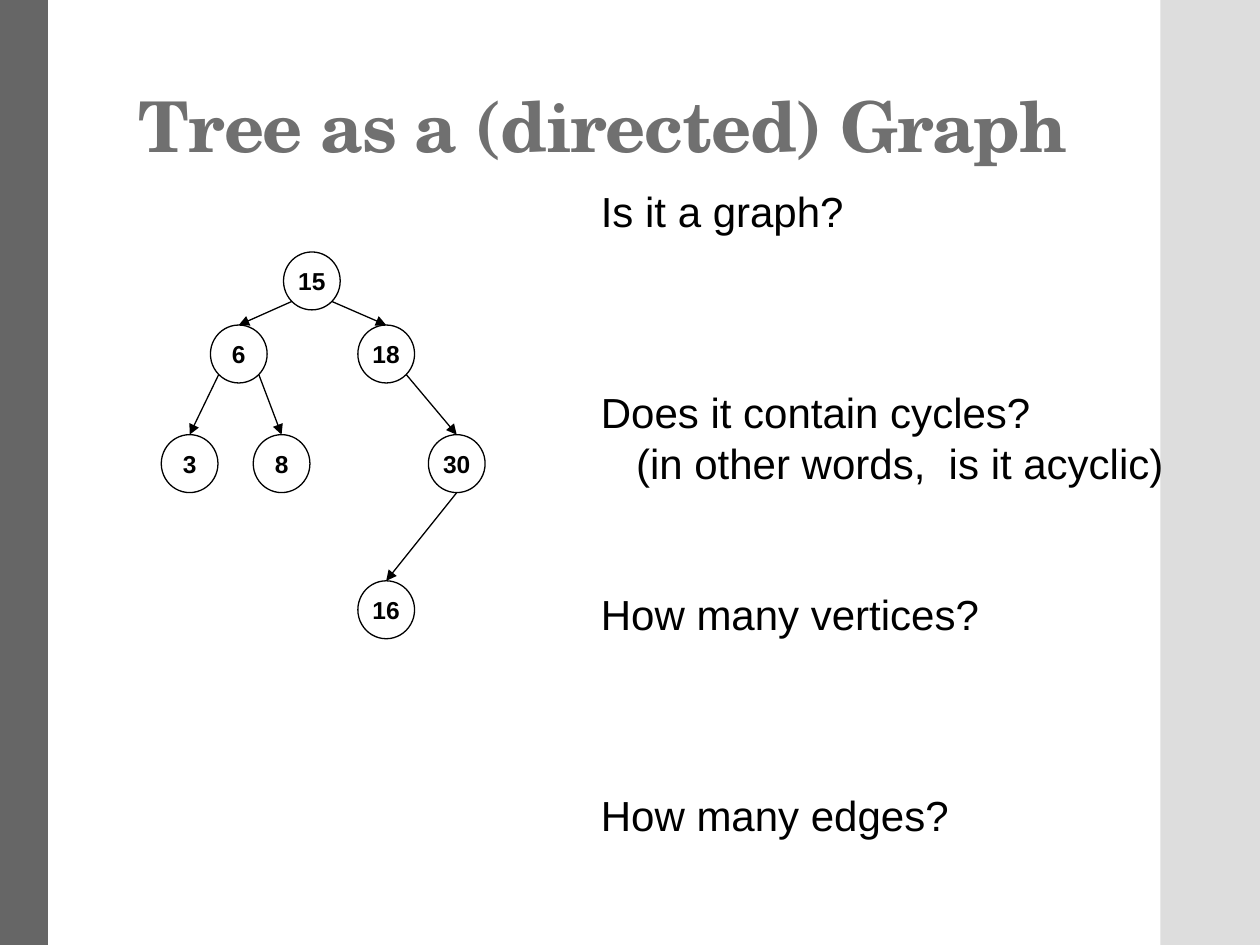
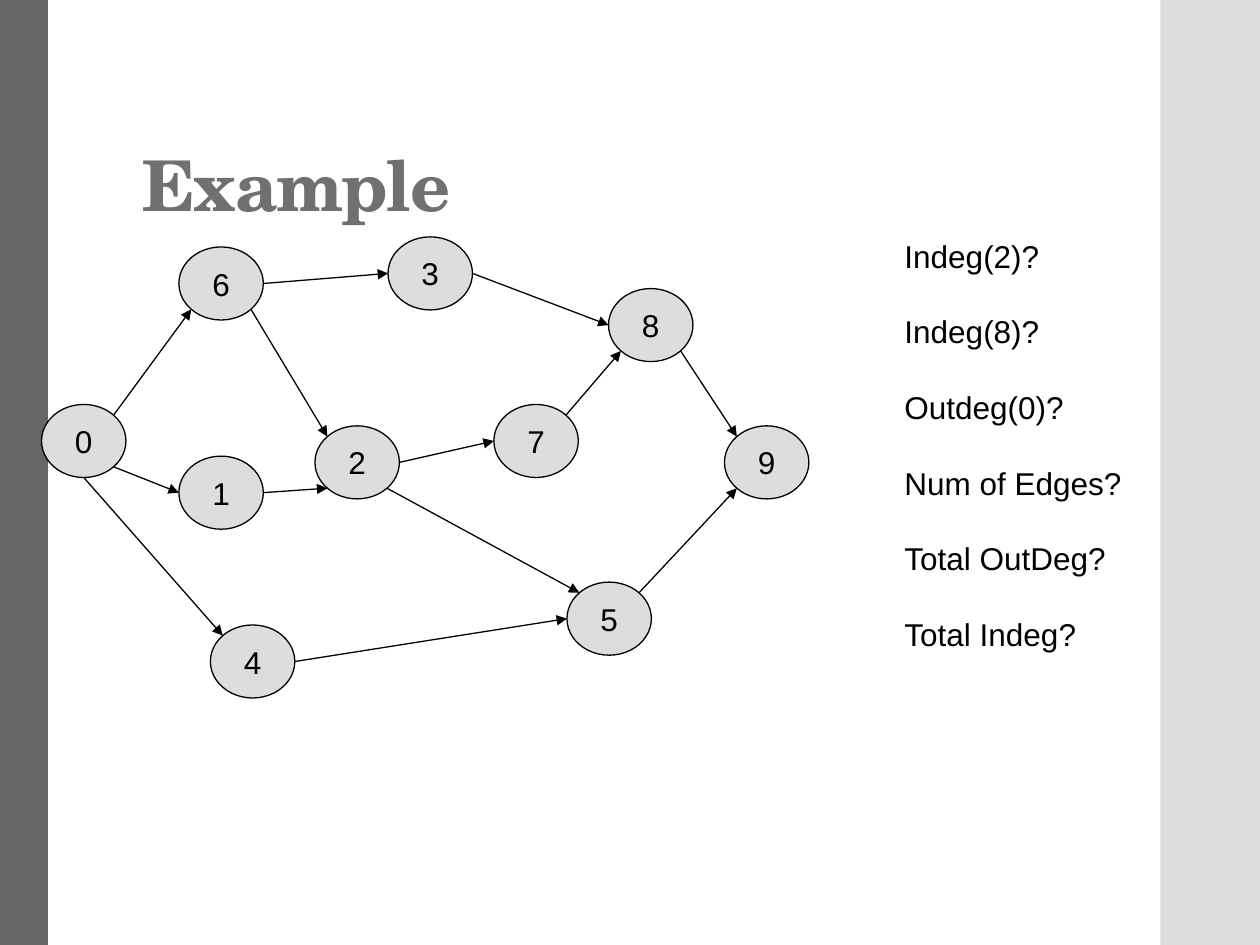
from math import cos, pi, sin

from lxml import etree
from pptx import Presentation
from pptx.dml.color import RGBColor
from pptx.enum.shapes import MSO_CONNECTOR, MSO_SHAPE
from pptx.enum.text import MSO_ANCHOR, MSO_AUTO_SIZE, PP_ALIGN
from pptx.oxml.ns import qn
from pptx.util import Inches, Pt

OVAL, RECTANGLE = MSO_SHAPE.OVAL, MSO_SHAPE.RECTANGLE
STRAIGHT = MSO_CONNECTOR.STRAIGHT
BOTTOM, MIDDLE = MSO_ANCHOR.BOTTOM, MSO_ANCHOR.MIDDLE
CENTER = PP_ALIGN.CENTER
GROW = MSO_AUTO_SIZE.SHAPE_TO_FIT_TEXT


class Theme:
    ink = RGBColor(0x00, 0x00, 0x00)
    title = RGBColor(0x70, 0x70, 0x70)
    dark_band = RGBColor(0x66, 0x66, 0x66)
    light = RGBColor(0xDD, 0xDD, 0xDD)
    title_font, body_font = "TeX Gyre Schola", "Arial"
    title_size, question_size, small_size, tree_size = 40, 24, 18, 14
    line_width = Pt(0.75)
    line_height = 1.2


# Connection sites of an ellipse run counter-clockwise from the top
TOP, TOP_LEFT, LEFT, BOTTOM_LEFT, FOOT, BOTTOM_RIGHT, RIGHT, TOP_RIGHT = range(8)


def add_run(paragraph, text, size, font=Theme.body_font, color=Theme.ink, bold=False):
    run = paragraph.add_run()
    run.text = text
    run.font.name, run.font.size = font, Pt(size)
    run.font.color.rgb, run.font.bold = color, bold
    return run


def draw_graph(slide, vertices, edges, width, height, size, bold=False, fill=None):
    """Draw labelled vertices at (left, top) and arrows between their sites."""
    ovals = {}
    for label, (left, top) in vertices.items():
        oval = slide.shapes.add_shape(OVAL, Inches(left), Inches(top), Inches(width), Inches(height))
        oval.shadow.inherit = False
        if fill is None:
            oval.fill.background()
        else:
            oval.fill.solid()
            oval.fill.fore_color.rgb = fill
        oval.line.color.rgb, oval.line.width = Theme.ink, Theme.line_width
        frame = oval.text_frame
        frame.word_wrap, frame.vertical_anchor = False, MIDDLE
        frame.paragraphs[0].alignment = CENTER
        add_run(frame.paragraphs[0], str(label), size, bold=bold)
        ovals[label] = oval

    for source, source_site, target, target_site in edges:
        ends = []
        for label, site in ((source, source_site), (target, target_site)):
            left, top = vertices[label]
            angle = site * pi / 4
            ends += [Inches(left + width / 2 * (1 - sin(angle))),
                     Inches(top + height / 2 * (1 - cos(angle)))]
        edge = slide.shapes.add_connector(STRAIGHT, *ends)
        edge.line.color.rgb, edge.line.width = Theme.ink, Theme.line_width
        properties = edge.element.find(qn("p:spPr"))
        etree.SubElement(properties.find(qn("a:ln")), qn("a:tailEnd"), type="triangle")
        etree.SubElement(properties, qn("a:effectLst"))
        # Glue both ends to their vertices
        glue = edge.element.find(".//" + qn("p:cNvCxnSpPr"))
        for tag, label, site in (("a:stCxn", source, source_site), ("a:endCxn", target, target_site)):
            etree.SubElement(glue, qn(tag), id=str(ovals[label].shape_id), idx=str(site))


presentation = Presentation()
presentation.slide_width, presentation.slide_height = Inches(10), Inches(7.5)
blank = presentation.slide_layouts[6]

# Shared look: side bands and title, then the questions on the right.
# A question is (text, blank lines before it, indent in inches).
pages = [
    ("Tree as a (directed) Graph", (1, -0.07), (4.67, 1.42, 5.58, 5.29), True, Theme.question_size, [
        ("Is it a graph?", 0, 0),
        ("Does it contain cycles?", 3, 0),
        ("(in other words,  is it acyclic)", 0, 0.28),
        ("How many vertices?", 2, 0),
        ("How many edges?", 3, 0),
    ]),
    ("Example", (1.03, 0.4), (7.08, 1.83, 1.92, 3.4), False, Theme.small_size, [
        ("Indeg(2)?", 0, 0),
        ("Indeg(8)?", 1, 0),
        ("Outdeg(0)?", 1, 0),
        ("Num of Edges?", 1, 0),
        ("Total OutDeg?", 1, 0),
        ("Total Indeg?", 1, 0),
    ]),
]
slides = []
for heading, (title_left, title_top), question_area, wraps, size, questions in pages:
    slide = presentation.slides.add_slide(blank)
    slides.append(slide)
    for left, width, color in ((9.21, 0.79, Theme.light), (0, 0.38, Theme.dark_band)):
        band = slide.shapes.add_shape(RECTANGLE, Inches(left), 0, Inches(width), Inches(7.5))
        band.shadow.inherit = False
        band.fill.solid()
        band.fill.fore_color.rgb = color
        band.line.fill.background()

    title = slide.shapes.add_textbox(Inches(title_left), Inches(title_top), Inches(7.95), Inches(1.45))
    title.text_frame.word_wrap, title.text_frame.vertical_anchor = True, BOTTOM
    title_line = title.text_frame.paragraphs[0]
    title_line.line_spacing = 0.9
    title_run = add_run(title_line, heading, Theme.title_size, Theme.title_font, Theme.title, True)
    title_run.font._element.set("spc", "-70")

    question_box = slide.shapes.add_textbox(*map(Inches, question_area))
    frame = question_box.text_frame
    frame.word_wrap, frame.auto_size = wraps, GROW
    for number, (question, blank_lines, indent) in enumerate(questions):
        paragraph = frame.add_paragraph() if number else frame.paragraphs[0]
        paragraph.space_before = Pt(blank_lines * size * Theme.line_height)
        add_run(paragraph, question, size)
        if indent:
            paragraph._p.get_or_add_pPr().set("marL", str(Inches(indent)))

tree_slide, example_slide = slides

# Binary search tree
tree_vertices = {
    15: (2.25, 2), 6: (1.67, 2.58), 18: (2.84, 2.58),
    3: (1.28, 3.45), 8: (2.01, 3.45), 30: (3.4, 3.45), 16: (2.84, 4.61),
}
tree_edges = [
    (15, BOTTOM_LEFT, 6, TOP), (15, BOTTOM_RIGHT, 18, TOP),
    (6, BOTTOM_LEFT, 3, TOP), (6, BOTTOM_RIGHT, 8, TOP),
    (18, BOTTOM_RIGHT, 30, TOP), (30, FOOT, 16, TOP),
]
draw_graph(tree_slide, tree_vertices, tree_edges, 0.45, 0.46, Theme.tree_size, bold=True)

# Directed acyclic graph
example_vertices = {
    0: (0.33, 3.21), 1: (1.42, 3.62), 2: (2.5, 3.38), 3: (3.08, 1.88), 4: (1.67, 4.96),
    5: (4.5, 4.62), 6: (1.42, 1.96), 7: (3.92, 3.21), 8: (4.83, 2.29), 9: (5.75, 3.38),
}
example_edges = [
    (0, FOOT, 4, TOP_LEFT), (0, BOTTOM_RIGHT, 1, LEFT), (0, TOP_RIGHT, 6, BOTTOM_LEFT),
    (6, RIGHT, 3, LEFT), (6, BOTTOM_RIGHT, 2, TOP_LEFT), (1, RIGHT, 2, BOTTOM_LEFT),
    (4, RIGHT, 5, LEFT), (2, BOTTOM_RIGHT, 5, TOP_LEFT), (5, TOP_RIGHT, 9, BOTTOM_LEFT),
    (2, RIGHT, 7, LEFT), (3, RIGHT, 8, LEFT), (8, BOTTOM_RIGHT, 9, TOP_LEFT),
    (7, TOP_RIGHT, 8, BOTTOM_LEFT),
]
draw_graph(example_slide, example_vertices, example_edges, 0.67, 0.58, Theme.small_size, fill=Theme.light)

presentation.save("out.pptx")
